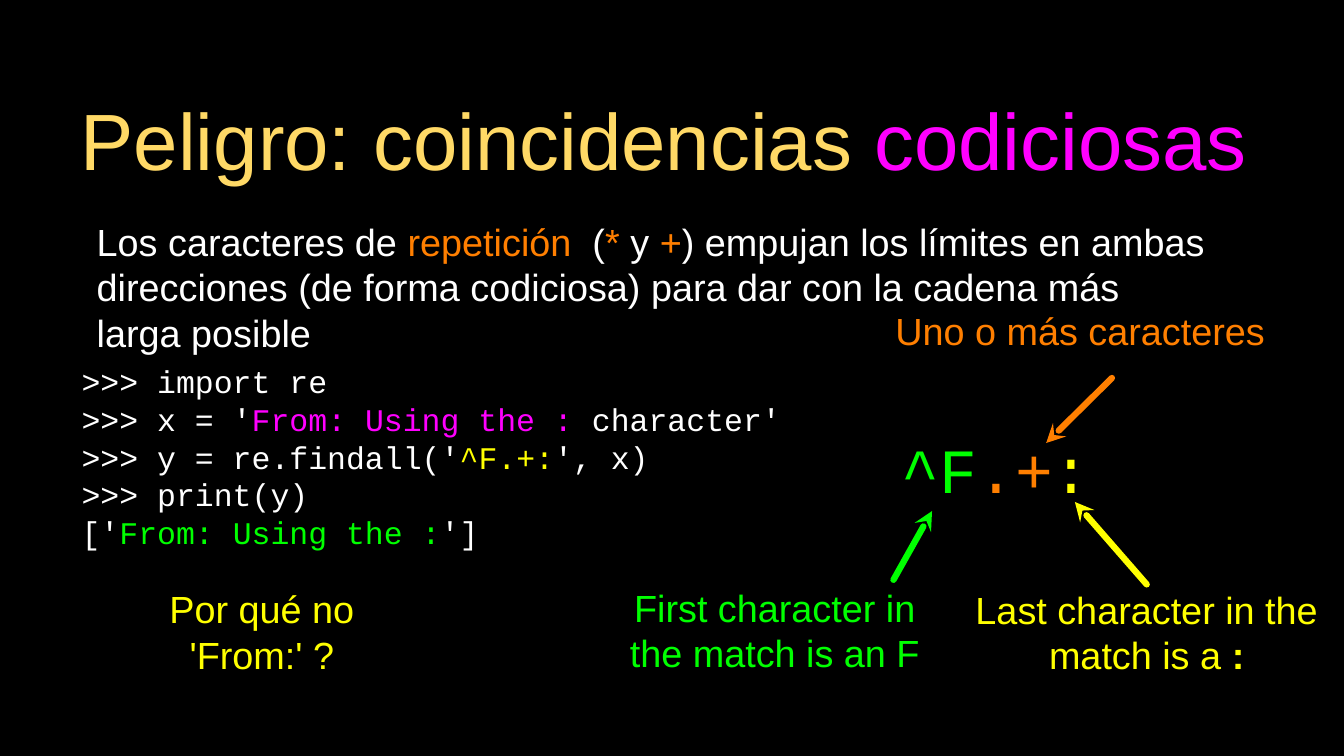
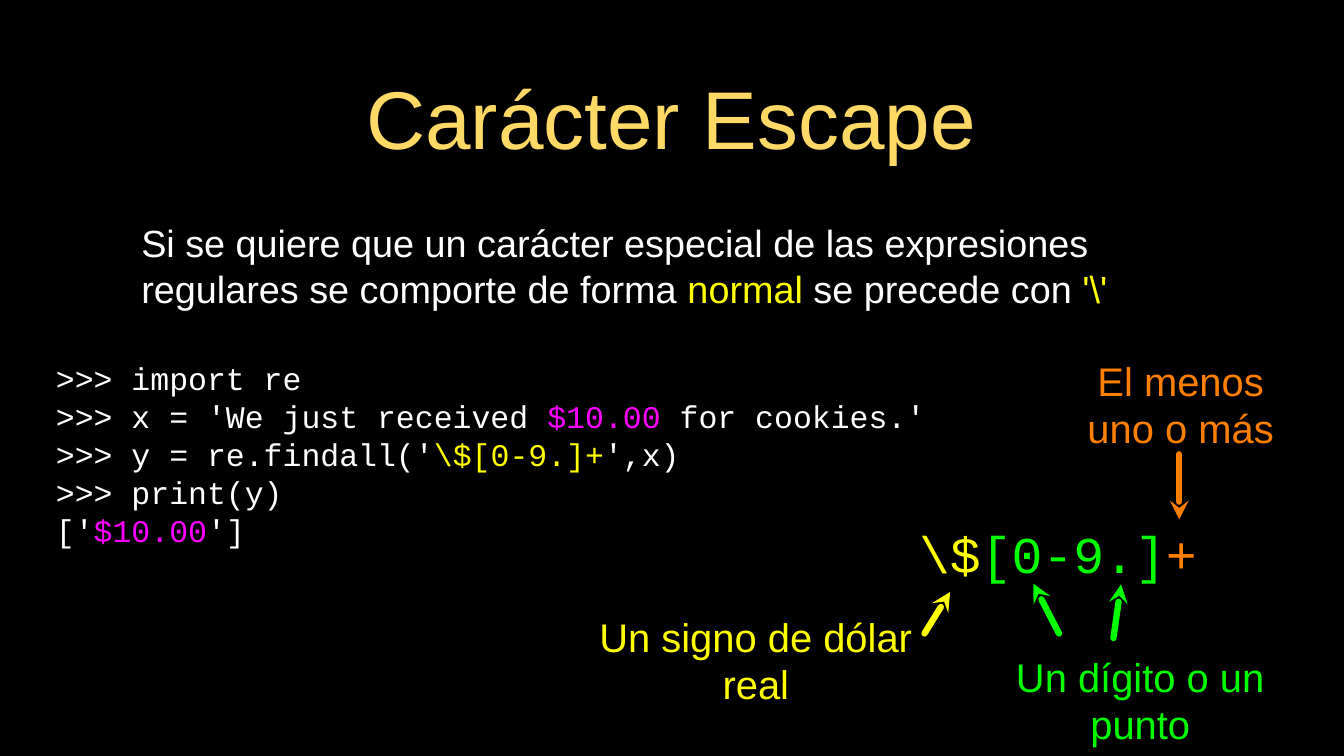
from dataclasses import dataclass

from lxml import etree
from pptx import Presentation, util as u
from pptx.dml.color import RGBColor
from pptx.enum import shapes, text
from pptx.oxml.ns import qn

SCALE = 9144


@dataclass(frozen=True)
class Theme:
    background: str = "000000"
    title: str = "FFD966"
    white: str = "FFFFFF"
    orange: str = "FF7F00"
    magenta: str = "FF00FF"
    yellow: str = "FFFF00"
    green: str = "00FF00"
    sans: str = "Arial"
    mono: str = "Courier New"
    greedy_title_size: int = 76
    escape_title_size: int = 78
    body_size: int = 36
    escape_label_size: int = 38
    code_size: int = 30
    greedy_pattern_size: int = 60
    escape_pattern_size: int = 49
    arrow_width: int = 6


THEME = Theme()


def px(value):
    return u.Emu(value * SCALE)


def add_text(page, area, lines, size, font=THEME.sans, align=text.PP_ALIGN.CENTER,
             anchor=text.MSO_ANCHOR.MIDDLE, margin=0, indent=0):
    box = page.shapes.add_textbox(*map(px, area))
    frame = box.text_frame
    frame.word_wrap = True
    frame.vertical_anchor = anchor
    frame.margin_left = frame.margin_right = px(margin)
    frame.margin_top = frame.margin_bottom = px(margin)
    for index, line in enumerate(lines):
        para = frame.add_paragraph() if index else frame.paragraphs[0]
        para.alignment = align
        if indent:
            para._p.get_or_add_pPr().set("marL", str(px(indent)))
        for words, colour, *bold in line:
            span = para.add_run()
            span.text = words
            span.font.name = font
            span.font.size = u.Pt(size)
            span.font.color.rgb = RGBColor.from_string(colour)
            if bold:
                span.font.bold = bold[0]


def add_title(page, area, spans, size, margin):
    add_text(page, area, [spans], size, margin=margin)


def add_body(page, area, spans, margin, indent):
    add_text(page, area, [spans], THEME.body_size, align=text.PP_ALIGN.LEFT,
             anchor=text.MSO_ANCHOR.TOP, margin=margin, indent=indent)


def add_code(page, area, lines, size=THEME.code_size):
    add_text(page, area, lines, size, font=THEME.mono, align=text.PP_ALIGN.LEFT)


def add_label(page, area, words, colour, size=THEME.body_size):
    add_text(page, area, [[(words, colour)]], size)


def add_arrow(page, tip, end, colour):
    arrow = page.shapes.add_connector(shapes.MSO_CONNECTOR.STRAIGHT, *map(px, tip + end))
    arrow.line.width = u.Pt(THEME.arrow_width)
    arrow.line.color.rgb = RGBColor.from_string(colour)
    outline = arrow.line._get_or_add_ln()
    outline.set("cap", "rnd")
    etree.SubElement(outline, qn("a:headEnd"), type="stealth")
    etree.SubElement(arrow._element.spPr, qn("a:effectLst"))


def add_page(deck):
    return deck.slides.add_slide(deck.slide_layouts[6])


def build_greedy(deck):
    t = THEME
    page = add_page(deck)
    add_title(page, (0, 89, 1756, 189),
              [("Peligro: coincidencias ", t.title), ("codiciosas", t.magenta)],
              t.greedy_title_size, 4)
    add_body(page, (83, 285, 1524, 171), [
        ("Los caracteres de ", t.white), ("repetición", t.orange), ("  (", t.white),
        ("*", t.orange), (" y ", t.white), ("+", t.orange),
        (") empujan los límites en ambas direcciones (de forma codiciosa) "
         "para dar con la cadena más larga posible", t.white)], 4, 41)
    add_code(page, (108, 456, 1097, 296), [
        [(">>> import re", t.white)],
        [(">>> x = '", t.white), ("From: Using the :", t.magenta), (" character'", t.white)],
        [(">>> y = re.findall('", t.white), ("^F.+:", t.yellow), ("', x)", t.white)],
        [(">>> print(y)", t.white)],
        [("['", t.white), ("From: Using the :", t.green), ("']", t.white)]])
    add_code(page, (1193, 564, 283, 112),
             [[("^F", t.green), (".+", t.orange), (":", t.yellow)]], t.greedy_pattern_size)
    add_label(page, (1110, 375, 638, 125), "Uno o más caracteres", t.orange)
    add_arrow(page, (1384, 586), (1471, 500), t.orange)
    add_label(page, (805, 771, 440, 125), "First character in the match is an F", t.green)
    add_arrow(page, (1233, 676), (1182, 767), t.green)
    add_text(page, (1289, 773, 456, 125),
             [[("Last character in the match is a ", t.yellow), (":", t.yellow, True)]],
             t.body_size)
    add_arrow(page, (1422, 664), (1517, 773), t.yellow)
    add_label(page, (126, 805, 441, 60), "Por qué no 'From:' ?", t.yellow)


def build_escape(deck):
    t = THEME
    label_size = t.escape_label_size
    page = add_page(deck)
    add_title(page, (126, 71, 1524, 166), [("Carácter Escape", t.title)],
              t.escape_title_size, 6)
    add_body(page, (126, 285, 1524, 171), [
        ("Si se quiere que un carácter especial de las expresiones regulares "
         "se comporte de forma ", t.white),
        ("normal", t.yellow), (" se precede con ", t.white), ("'\\'", t.yellow)], 6, 55)
    add_code(page, (74, 469, 1184, 263), [
        [(">>> import re", t.white)],
        [(">>> x = 'We just received ", t.white), ("$10.00", t.magenta),
         (" for cookies.'", t.white)],
        [(">>> y = re.findall('", t.white), ("\\$[0-9.]+", t.yellow), ("',x)", t.white)],
        [(">>> print(y)", t.white)],
        [("['", t.white), ("$10.00", t.magenta), ("']", t.white)]])
    add_code(page, (1216, 687, 369, 89),
             [[("\\$", t.yellow), ("[0-9.]", t.green), ("+", t.orange)]],
             t.escape_pattern_size)
    add_label(page, (1299, 890, 419, 72), "Un dígito o un punto", t.green, label_size)
    add_label(page, (780, 837, 440, 72), "Un signo de dólar real", t.yellow, label_size)
    add_arrow(page, (1257, 783), (1223, 838), t.yellow)
    add_arrow(page, (1367, 772), (1401, 838), t.green)
    add_arrow(page, (1483, 773), (1473, 844), t.green)
    add_label(page, (1407, 468, 310, 133), "El menos uno o más", t.orange, label_size)
    add_arrow(page, (1560, 687), (1560, 601), t.orange)


def main():
    deck = Presentation()
    deck.slide_width, deck.slide_height = px(1778), px(1000)
    backdrop = deck.slide_master.background.fill
    backdrop.solid()
    backdrop.fore_color.rgb = RGBColor.from_string(THEME.background)
    build_greedy(deck)
    build_escape(deck)
    deck.save("out.pptx")


if __name__ == "__main__":
    main()
